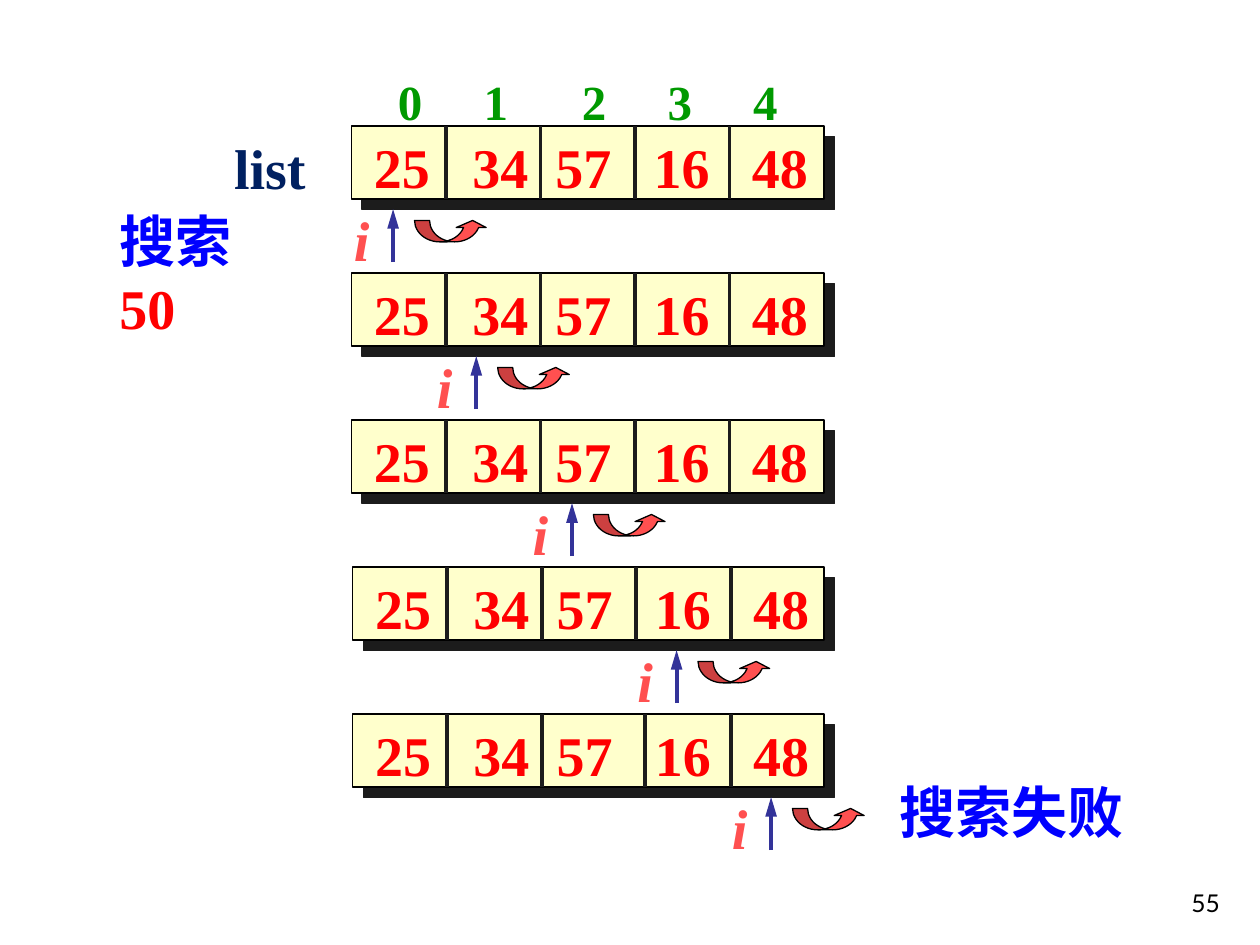
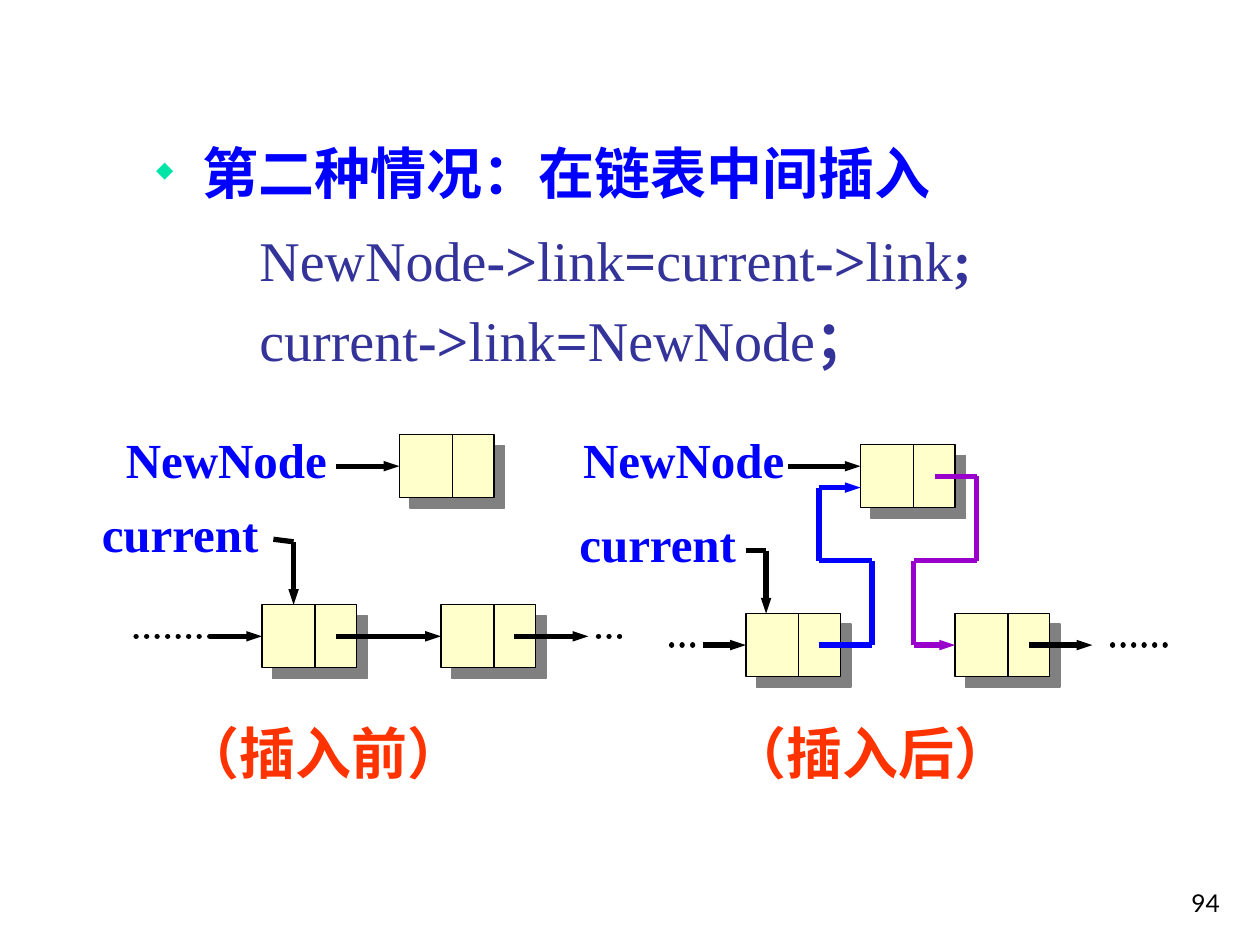
from pptx import Presentation
from pptx.dml.color import RGBColor
from pptx.enum.dml import MSO_LINE
from pptx.enum.shapes import MSO_CONNECTOR, MSO_SHAPE
from pptx.enum.text import MSO_ANCHOR, PP_ALIGN
from pptx.oxml.ns import qn
from pptx.util import Inches, Pt
from lxml.etree import SubElement as Sub

SERIF = "Times New Roman"
BLACK, BLUE, RED, NAVY = "000000", "0000FF", "FF0000", "333399"
CREAM, DARK, GRAY, PURPLE, CORAL = "FFFFCC", "1C1C1C", "808080", "9900CC", "FF5050"
SHORT, LONG = {"w": "sm", "len": "med"}, {"w": "med", "len": "lg"}


def rgb(code):
    """Turn a hex string into a colour."""
    return RGBColor.from_string(code)


def write(para, *runs, size=32, color=BLUE, bold=True, italic=False,
          font=SERIF, align=PP_ALIGN.LEFT, before=0, left=0, hang=0,
          bullet=None):
    """Fill a paragraph with runs, each a string or (string, changes)."""
    props = para._p.get_or_add_pPr()
    props.set("marL", str(Inches(left)))
    props.set("indent", str(-Inches(hang)))
    if bullet:
        Sub(Sub(props, qn("a:buClr")), qn("a:srgbClr"), val=bullet)
        Sub(props, qn("a:buSzPct"), val="40000")
        Sub(props, qn("a:buChar"), char="◆")
    else:
        Sub(props, qn("a:buNone"))
    para.alignment = align
    if before:
        para.space_before = Pt(before)
    for item in runs:
        words, diff = (item, {}) if isinstance(item, str) else item
        run = para.add_run()
        run.text = words
        face = run.font
        face.name, face.size = font, Pt(size)
        face.bold, face.italic = diff.get("bold", bold), italic
        face.color.rgb = rgb(diff.get("color", color))


def text(slide, box, *runs, anchor=MSO_ANCHOR.TOP, **form):
    """Add a text box with one paragraph and return its frame."""
    frame = slide.shapes.add_textbox(*map(Inches, box)).text_frame
    frame.word_wrap = True
    frame.vertical_anchor = anchor
    write(frame.paragraphs[0], *runs, **form)
    return frame


def block(slide, box, kind=MSO_SHAPE.RECTANGLE, fill=CREAM, shade=None):
    """Add an outlined shape, with a hard shadow if a shade is given."""
    shape = slide.shapes.add_shape(kind, *map(Inches, box))
    shape.fill.solid()
    shape.fill.fore_color.rgb = rgb(fill)
    shape.line.color.rgb = rgb(BLACK)
    shape.line.width = Pt(0.75)
    shape.shadow.inherit = False
    if shade:
        effects = shape._element.spPr.find(qn("a:effectLst"))
        cast = Sub(effects, qn("a:outerShdw"), dist=str(Pt(8.5)),
                   dir="2700000", algn="ctr", rotWithShape="0")
        Sub(cast, qn("a:srgbClr"), val=shade)
    return shape


def line(slide, start, end, color=BLACK, width=3, head=None, dots=False,
         goal=None):
    """Draw a straight line, joined to the left side of a goal if given."""
    link = slide.shapes.add_connector(
        MSO_CONNECTOR.STRAIGHT, *map(Inches, (*start, *end)))
    link.line.color.rgb = rgb(color)
    link.line.width = Pt(width)
    props = link._element.spPr
    pen = props.find(qn("a:ln"))
    if dots:
        link.line.dash_style = MSO_LINE.ROUND_DOT
        pen.set("cap", "rnd")
    if head:
        Sub(pen, qn("a:tailEnd"), type="triangle", **head)
    Sub(props, qn("a:effectLst"))
    if goal is not None:
        link.end_connect(goal, 1)


def route(slide, points, color=BLACK, goal=None):
    """Draw a bent arrow through the points."""
    for start, end in zip(points[:-2], points[1:-1]):
        line(slide, start, end, color)
    line(slide, points[-2], points[-1], color, head=SHORT, goal=goal)


def number(slide, page):
    """Add the page number."""
    text(slide, (7.7, 6.83, 2.08, 0.5), page, size=14, color=BLACK,
         bold=False, font="Lato", align=PP_ALIGN.RIGHT,
         anchor=MSO_ANCHOR.BOTTOM)


def spread(slide, x, y, items, **form):
    """Set the items side by side, each at its own offset."""
    for gap, item in items:
        text(slide, (x + gap, y, 0.7, 0.6), item, **form)


def array(slide, box, cuts):
    """Draw a row of values split by dividers."""
    x, y, w, h = box
    block(slide, box, shade=DARK)
    values = zip((0, 0.78, 1.44, 2.22, 3.0), ("25", "34", "57", "16", "48"))
    spread(slide, x + 0.08, y, values, color=RED)
    for cut in cuts:
        line(slide, (x + cut, y), (x + cut, y + h), DARK, 2.25)


def marker(slide, x, y):
    """Mark the current index with an arrow, its name and a hop."""
    line(slide, (x, y + 0.5), (x, y + 0.08), NAVY, 2.25, head=LONG)
    text(slide, (x - 0.41, y, 0.4, 0.63), "i", color=CORAL, italic=True)
    hop = block(slide, (x + 0.17, y + 0.17, 0.58, 0.17),
                MSO_SHAPE.CURVED_UP_ARROW, CORAL)
    for spot, value in enumerate((0.7, 1.4, 0.333)):
        hop.adjustments[spot] = value


def search(slide):
    """Build the slide of a failed search."""
    spread(slide, 2.87, 0.52, zip((0.19, 0.87, 1.65, 2.33, 3.01), "01234"),
           size=28, color="009900")
    text(slide, (1.76, 1.01, 0.9, 0.64), "list", color="002060")
    text(slide, (0.85, 1.59, 1.4, 1.17), "搜索 ", ("50", {"color": RED}))
    even = (0.75, 1.5, 2.25, 3.0)
    rows = ((2.79, 3.12, even), (2.79, 3.78, even), (2.79, 4.54, even),
            (2.8, 5.37, even), (2.8, 6.12, (0.75, 1.5, 2.32, 3.0)))
    for step, (left, spot, cuts) in enumerate(rows):
        top = 1 + step * 7 / 6
        array(slide, (left, top, 6.54 - left, 0.58), cuts)
        marker(slide, spot, top + 0.58)
    text(slide, (7.04, 6.12, 2.1, 0.63), "搜索失败")
    number(slide, "55")


def node(slide, x, y):
    """Draw a list node with its data and link fields."""
    cell = block(slide, (x, y, 0.75, 0.5), shade=GRAY)
    line(slide, (x + 0.42, y), (x + 0.42, y + 0.5), width=0.75)
    return cell


def label(slide, x, y, name):
    """Name a pointer."""
    text(slide, (x, y, 1.9, 0.57), name, size=28)


def title(slide, x, y, words):
    """Caption a stage of the insertion."""
    text(slide, (x, y, 2.6, 0.66), words, color="FF3300")


def before(slide, x, y):
    """Draw the list before the insertion."""
    fresh = node(slide, x + 2.17, y + 0.45)
    prev = node(slide, x + 1.08, y + 1.8)
    after = node(slide, x + 2.5, y + 1.8)
    mid = y + 2.05
    label(slide, x - 0.1, y + 0.36, "NewNode")
    label(slide, x - 0.29, y + 0.95, "current")
    line(slide, (x + 1.67, y + 0.7), (x + 2.17, y + 0.7), head=SHORT, goal=fresh)
    line(slide, (x + 0.08, mid), (x + 0.67, mid), dots=True)
    line(slide, (x + 0.67, mid), (x + 1.08, mid), head=SHORT, goal=prev)
    line(slide, (x + 1.67, mid), (x + 2.5, mid), head=SHORT, goal=after)
    line(slide, (x + 3.08, mid), (x + 3.67, mid), head=SHORT)
    line(slide, (x + 3.75, mid), (x + 4, mid), dots=True)
    route(slide, ((x + 1.17, y + 1.28), (x + 1.33, y + 1.3),
                  (x + 1.33, y + 1.8)))
    title(slide, x + 0.36, y + 2.65, "（插入前）")


def insert(slide, x, y):
    """Draw the list after the insertion."""
    node(slide, x + 1.83, y + 0.53)
    prev = node(slide, x + 0.92, y + 1.87)
    after = node(slide, x + 2.58, y + 1.87)
    mid, bend = y + 2.12, y + 1.45
    label(slide, x - 0.47, y + 0.36, "NewNode")
    label(slide, x - 0.5, y + 1.03, "current")
    line(slide, (x + 1.25, y + 0.7), (x + 1.83, y + 0.7), head=SHORT)
    line(slide, (x + 0.33, mid), (x + 0.58, mid), dots=True)
    line(slide, (x + 0.58, mid), (x + 0.92, mid), head=SHORT, goal=prev)
    line(slide, (x + 3.17, mid), (x + 3.67, mid), head=SHORT)
    line(slide, (x + 3.83, mid), (x + 4.25, mid), dots=True)
    route(slide, ((x + 0.92, y + 1.37), (x + 1.08, y + 1.37),
                  (x + 1.08, y + 1.87)))
    route(slide, ((x + 2.42, y + 0.78), (x + 2.75, y + 0.78),
                  (x + 2.75, bend), (x + 2.25, bend), (x + 2.25, mid),
                  (x + 2.58, mid)), PURPLE, after)
    route(slide, ((x + 1.5, mid), (x + 1.92, mid), (x + 1.92, bend),
                  (x + 1.5, bend), (x + 1.5, y + 0.87),
                  (x + 1.83, y + 0.87)), BLUE)
    title(slide, x + 0.7, y + 2.65, "（插入后）")


def chain(slide):
    """Build the slide of an insertion into a linked list."""
    strong = {"bold": True}
    arrow, equal = ("->", strong), ("=", strong)
    code = {"color": NAVY, "bold": False, "left": 1.38}
    frame = text(slide, (0.58, 1.05, 9.42, 2.2), "第二种情况：在链表中间插入",
                 left=0.93, hang=0.37, bullet="00E4A8")
    write(frame.add_paragraph(), "NewNode", arrow, "link", equal, "current",
          arrow, "link", (";", strong), before=11.5, **code)
    write(frame.add_paragraph(), "current", arrow, "link", equal, "NewNode",
          ("；", strong), before=7, **code)
    before(slide, 1, 3)
    insert(slide, 5, 3)
    number(slide, "94")


def main():
    """Build and save the slides."""
    deck = Presentation()
    deck.slide_width, deck.slide_height = Inches(10), Inches(7.5)
    for build in (search, chain):
        build(deck.slides.add_slide(deck.slide_layouts[6]))
    deck.save("out.pptx")


if __name__ == "__main__":
    main()
